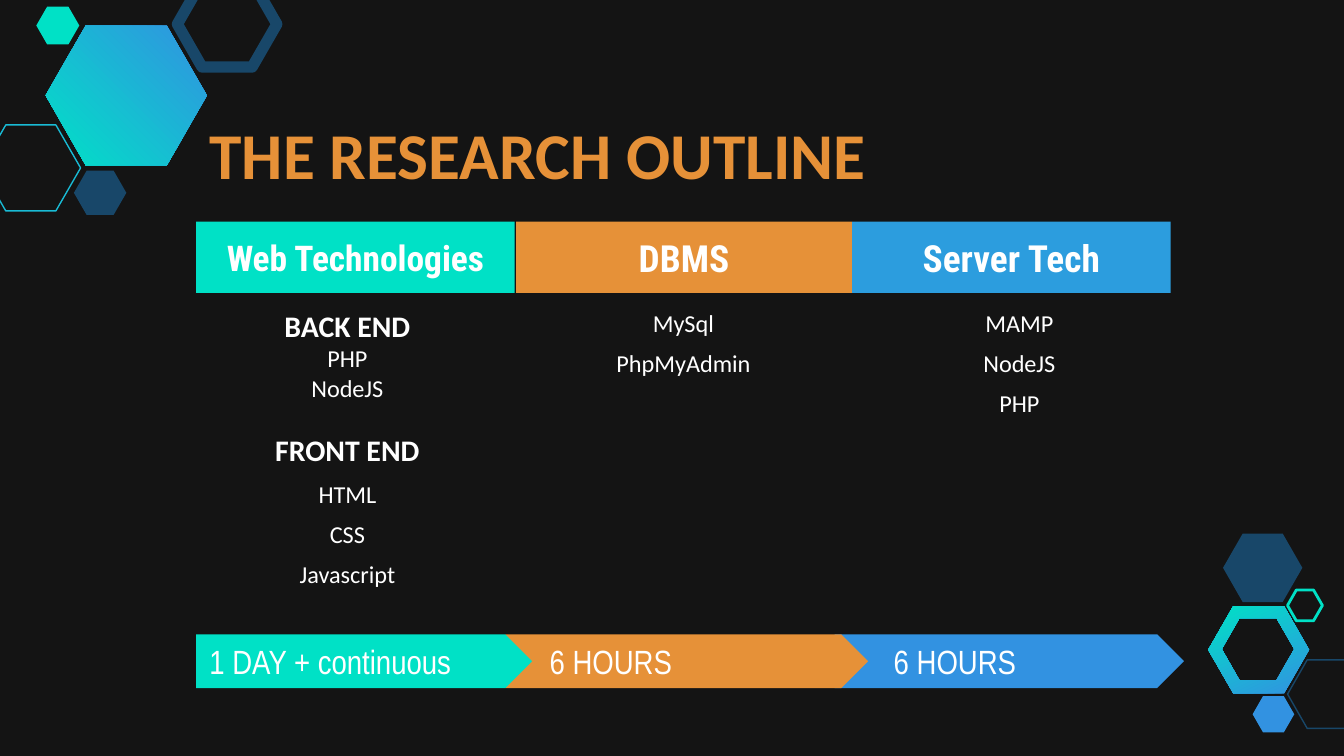
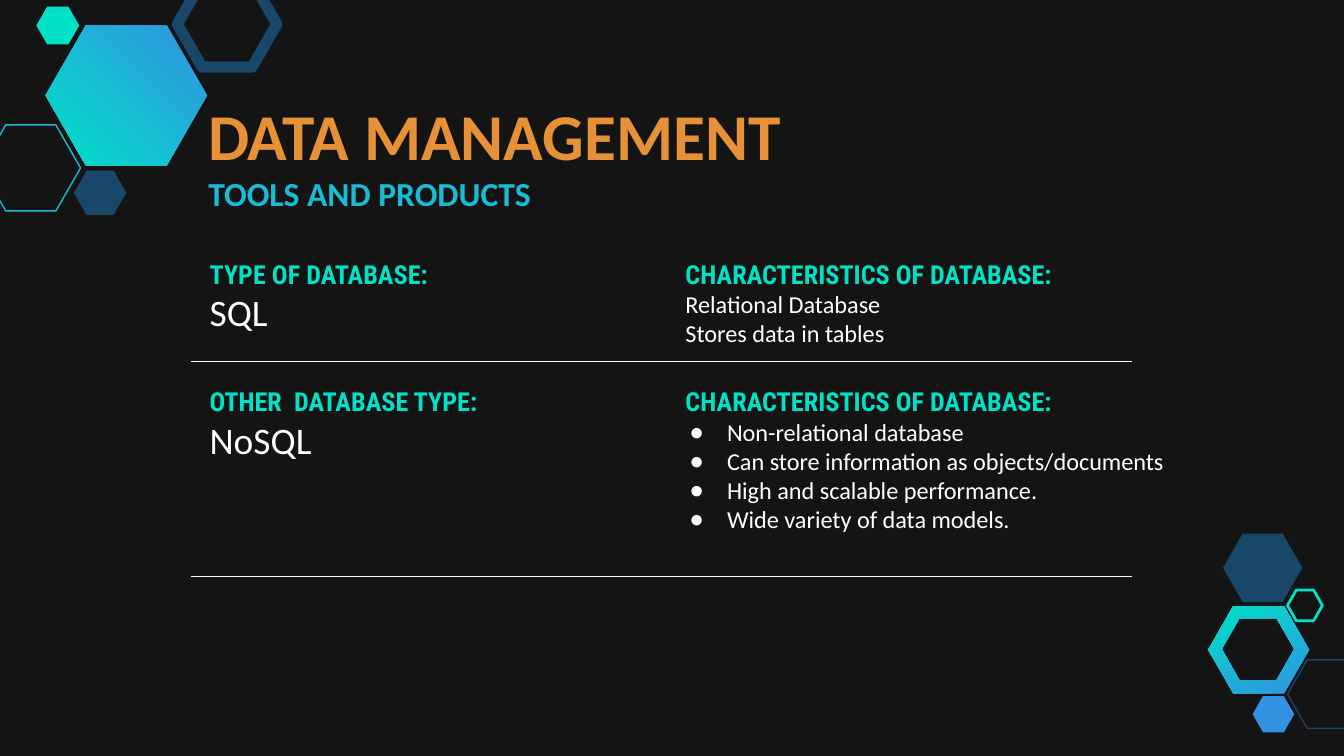
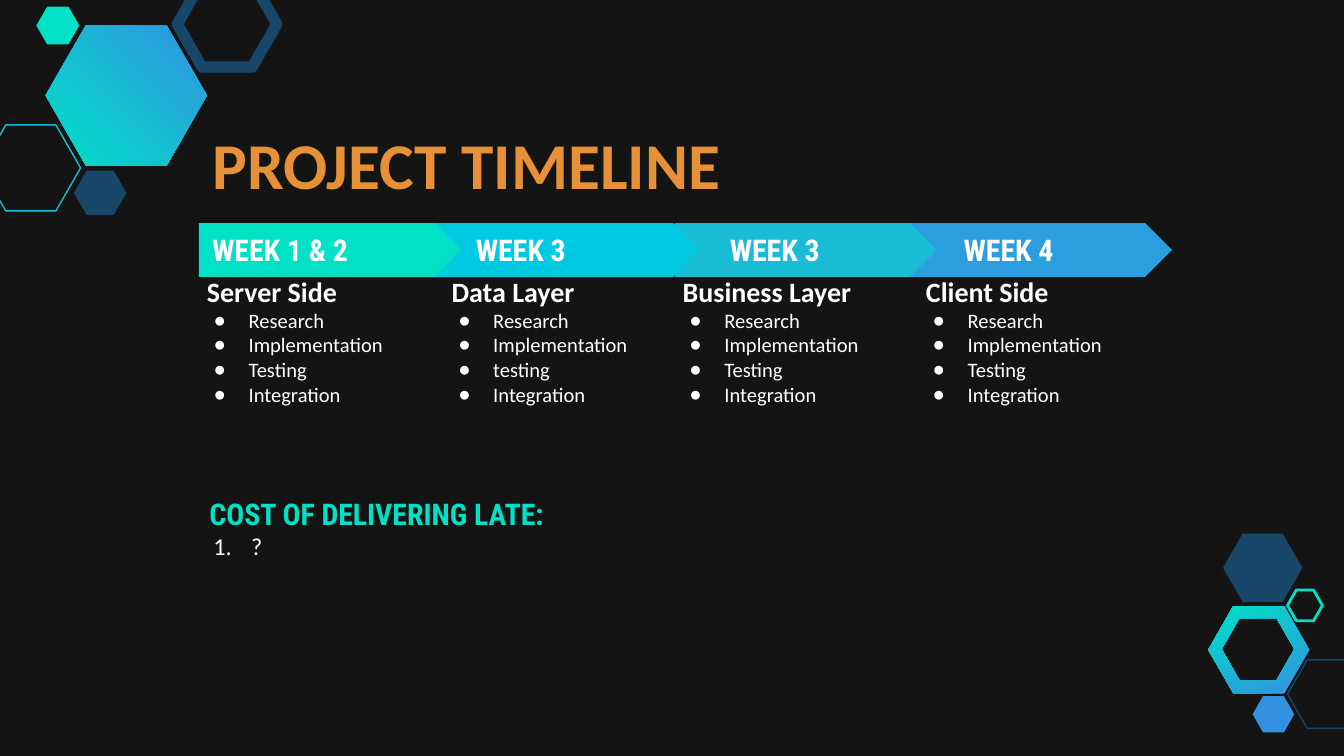
from lxml import etree
from pptx import Presentation
from pptx.dml.color import RGBColor
from pptx.enum.shapes import MSO_CONNECTOR as Connector, MSO_SHAPE as Preset
from pptx.enum.text import MSO_ANCHOR as Anchor, MSO_AUTO_SIZE as AutoSize, PP_ALIGN as Align
from pptx.oxml.ns import qn
from pptx.util import Inches, Pt

CELL = Inches(0.1)  # one column or row of the grid
COLUMNS, ROWS = 100, 56.25

NIGHT = RGBColor(0x14, 0x14, 0x14)
WHITE = RGBColor(0xFF, 0xFF, 0xFF)
ORANGE = RGBColor(0xE6, 0x91, 0x38)
MINT = RGBColor(0x00, 0xE1, 0xC6)
AQUA = RGBColor(0x00, 0xCA, 0xE1)
TEAL = RGBColor(0x19, 0xBB, 0xD5)
SKY = RGBColor(0x2C, 0x9D, 0xDE)
BLUE = RGBColor(0x32, 0x92, 0xE1)
NAVY = RGBColor(0x18, 0x47, 0x69)

SANS, CONDENSED, NARROW = "Calibri", "Roboto Condensed", "Arial Narrow"


def style(size, name=SANS, color=WHITE, bold=False, **paragraph):
    """Pair the font values of a text style with its paragraph values."""
    return {"size": Pt(size), "name": name, "bold": bold}, color, paragraph


STYLES = {
    "title": style(35, color=ORANGE, bold=True),
    "subtitle": style(18, color=TEAL, bold=True),
    "header": style(20, CONDENSED, bold=True, align=Align.CENTER, before=6),
    "long header": style(19, CONDENSED, bold=True, align=Align.CENTER, before=6),
    "group": style(16, bold=True, align=Align.CENTER),
    "next group": style(16, bold=True, align=Align.CENTER, before=16),
    "tight item": style(13, align=Align.CENTER),
    "item": style(13, align=Align.CENTER, before=6),
    "duration": style(18, NARROW),
    "week": style(16, CONDENSED, bold=True),
    "label": style(14, CONDENSED, MINT, True),
    "cost label": style(16, CONDENSED, MINT, True),
    "answer": style(20),
    "plain": style(13),
    "bullet": style(13, bullet="●", hang=0.28),
    "number": style(13, bullet="1.", hang=0.28),
    "layer": style(15, bold=True),
    "task": style(11, bullet="●", hang=0.26),
}


def grid(*lengths):
    return [round(length * CELL) for length in lengths]


def hexagon_points(left, top, width, height):
    right, bottom, middle = left + width, top + height, top + height / 2
    inset = 0.287 * height
    points = [(left, middle), (left + inset, top), (right - inset, top),
              (right, middle), (right - inset, bottom), (left + inset, bottom)]
    return [grid(*point) for point in points]


class Board:
    def __init__(self):
        self.deck = Presentation()
        self.deck.slide_width, self.deck.slide_height = grid(COLUMNS, ROWS)
        self.layout = self.deck.slide_layouts.get_by_name("Comparison")
        fill = self.deck.slide_master.background.fill
        fill.solid()
        fill.fore_color.rgb = NIGHT
        self.page, self.free = None, []

    def new_page(self, place, *lines):
        self.drop_unused()
        self.page = self.deck.slides.add_slide(self.layout)
        if len(self.deck.slides) == 1:
            self.decorate()
        title = self.page.shapes.title
        self.free = [holder for holder in self.page.placeholders
                     if holder.placeholder_format.idx > 0]
        self.place(title, place)
        self.set_lines(title, lines, anchor=Anchor.BOTTOM)

    def drop_unused(self):
        for holder in self.free:
            holder.element.getparent().remove(holder.element)

    def place(self, box, place):
        for name, value in zip(("left", "top", "width", "height"), grid(*place)):
            setattr(box, name, value)

    def set_lines(self, box, lines, anchor=Anchor.TOP, indent=1):
        """Fill a box with (style name, text) lines; indent is the left inset."""
        frame = box.text_frame
        settings = {"word_wrap": True, "auto_size": AutoSize.NONE,
                    "vertical_anchor": anchor, "margin_left": round(indent * CELL),
                    "margin_right": CELL, "margin_top": CELL, "margin_bottom": CELL}
        for name, value in settings.items():
            setattr(frame, name, value)
        for number, (kind, text) in enumerate(lines):
            para = frame.add_paragraph() if number else frame.paragraphs[0]
            font, color, layout = STYLES[kind]
            span = para.add_run()
            span.text = text
            for name, value in font.items():
                setattr(span.font, name, value)
            span.font.color.rgb = color
            self.set_paragraph(para, **layout)

    def set_paragraph(self, para, align=Align.LEFT, before=0, bullet=None, hang=0):
        para.alignment = align
        para.space_before = Pt(before)
        props = para._p.get_or_add_pPr()
        props.set("marL", str(Inches(0.31) if bullet else 0))
        props.set("indent", str(-Inches(hang)))
        if not bullet:
            etree.SubElement(props, qn("a:buNone"))
            return
        tint = etree.SubElement(props, qn("a:buClr"))
        etree.SubElement(tint, qn("a:srgbClr"), val=str(WHITE))
        if bullet == "1.":
            etree.SubElement(props, qn("a:buAutoNum"), type="arabicPeriod")
        else:
            etree.SubElement(props, qn("a:buChar"), char=bullet)

    def text(self, place, *lines, indent=1):
        """Use the next body placeholder, or a text box when none is left."""
        box = self.free.pop(0) if self.free else self.page.shapes.add_textbox(0, 0, 0, 0)
        self.place(box, place)
        self.set_lines(box, lines, indent=indent)

    def shape(self, preset, place, fill=None, line=None, weight=0.75):
        shape = self.page.shapes.add_shape(preset, *grid(*place))
        shape.shadow.inherit = False
        for paint, color in ((shape.fill, fill), (shape.line.fill, line)):
            if color is None:
                paint.background()
            else:
                paint.solid()
                paint.fore_color.rgb = color
        if line is not None:
            shape.line.width = Pt(weight)
        return shape

    def header(self, place, fill, kind, text):
        self.set_lines(self.shape(Preset.RECTANGLE, place, fill), [(kind, text)], Anchor.MIDDLE)

    def arrows(self, top, kind, steps):
        """Draw (left, width, colour, indent, text) steps, each over the next one."""
        for left, width, fill, indent, text in reversed(steps):
            arrow = self.shape(Preset.PENTAGON, (left, top, width, 4), fill)
            self.set_lines(arrow, [(kind, text)], Anchor.MIDDLE, indent)

    def rule(self, left, right, row):
        line = self.page.shapes.add_connector(Connector.STRAIGHT, *grid(left, row, right, row))
        line.line.color.rgb = WHITE
        line.line.width = Pt(0.75)
        etree.SubElement(line.element.spPr, qn("a:effectLst"))

    def hexagon(self, place, **paint):
        shape = self.shape(Preset.HEXAGON, place, **paint)
        shape.adjustments[0] = 0.287
        return shape

    def gradient_hexagon(self, angle, place, hole=None):
        points = hexagon_points(*place)
        builder = self.page.shapes.build_freeform(*points[0])
        builder.add_line_segments(points[1:], close=True)
        if hole:
            inner = hexagon_points(*hole)[::-1]
            builder.move_to(*inner[0])
            builder.add_line_segments(inner[1:], close=True)
        shape = builder.convert_to_shape()
        shape.shadow.inherit = False
        shape.line.fill.background()
        shape.fill.gradient()
        shape.fill.gradient_angle = angle
        for stop, color in zip(shape.fill.gradient_stops, (BLUE, MINT)):
            stop.color.rgb = color
        return shape

    def decorate(self):
        """Draw the hexagon clusters once and hand them to the layout."""
        cluster = [
            self.gradient_hexagon(116, (89.9, 45.1, 7.5, 6.5), hole=(90.9, 46, 5.4, 4.6)),
            self.gradient_hexagon(225, (3.4, 1.9, 12, 10.4)),
            self.hexagon((-1.4, 9.3, 7.4, 6.4), line=TEAL),
            self.hexagon((5.5, 12.7, 3.9, 3.3), fill=NAVY),
            self.hexagon((13.2, -1.4, 7.4, 6.4), line=NAVY, weight=6),
            self.hexagon((2.7, 0.5, 3.2, 2.8), fill=MINT),
            self.hexagon((95.8, 49.1, 5.9, 5.1), line=NAVY),
            self.hexagon((93.2, 51.8, 3.1, 2.7), fill=BLUE),
            self.hexagon((91, 39.7, 5.9, 5.1), fill=NAVY),
            self.hexagon((95.8, 43.9, 2.6, 2.3), line=MINT, weight=1.5),
        ]
        for number, shape in enumerate(cluster, start=101):
            shape.element.xpath(".//p:cNvPr")[0].set("id", str(number))
            self.layout.shapes.element.append(shape.element)


def research_outline(board):
    board.new_page((14.6, 6.7, 73.6, 8.6), ("title", "THE RESEARCH OUTLINE"))
    subjects = [
        (14.6, 23.7, MINT, "long header", "Web Technologies",
         [("group", "BACK END"), ("tight item", "PHP"), ("tight item", "NodeJS"),
          ("next group", "FRONT END"), ("item", "HTML"), ("item", "CSS"),
          ("item", "Javascript")]),
        (38.4, 25, ORANGE, "header", "DBMS", [("item", "MySql"), ("item", "PhpMyAdmin")]),
        (63.4, 23.7, SKY, "header", "Server Tech",
         [("item", "MAMP"), ("item", "NodeJS"), ("item", "PHP")]),
    ]
    for number, (left, width, fill, kind, name, tools) in enumerate(subjects):
        board.header((left, 16.5, width, 5.3), fill, kind, name)
        board.text((14.6 + 25 * number, 21.9, 22.5, 23.8), *tools)
    board.arrows(47.2, "duration", [
        (14.6, 25, MINT, 1, "1 DAY + continuous"),
        (37.6, 27, ORANGE, 3.3, "6 HOURS"),
        (62.1, 26, BLUE, 4.4, "6 HOURS"),
    ])


def data_management(board):
    board.new_page((14.5, 9.8, 81.3, 7.1),
                   ("title", "DATA MANAGEMENT"), ("subtitle", "TOOLS AND PRODUCTS"))
    traits = ("label", "CHARACTERISTICS OF DATABASE:")
    databases = [
        (18.2, 7.2, 26.9, "TYPE OF DATABASE:", "SQL", "plain",
         ["Relational Database", "Stores data in tables"]),
        (27.7, 12.8, 42.9, "OTHER  DATABASE TYPE:", "NoSQL", "bullet",
         ["Non-relational database", "Can store information as objects/documents",
          "High and scalable performance.", "Wide variety of data models."]),
    ]
    for top, height, rule, label, name, kind, facts in databases:
        board.text((14.6, top, 35.4, height), ("label", label), ("answer", name))
        board.text((50, top, 39.3, height), traits, *[(kind, fact) for fact in facts])
        board.rule(14.2, 84.2, rule)


def project_timeline(board):
    board.new_page((14.8, 9, 66.4, 7.1), ("title", "PROJECT TIMELINE"))
    board.arrows(16.6, "week", [
        (14.8, 19.5, MINT, 1, "WEEK 1 & 2"),
        (31.9, 20.2, AQUA, 3.5, "WEEK 3"),
        (50.2, 19.5, TEAL, 4.1, "WEEK 3"),
        (67.7, 19.5, SKY, 4, "WEEK 4"),
    ])
    layers = [(14.8, "Server Side", "Testing"), (33, "Data Layer", "testing"),
              (50.2, "Business Layer", "Testing"), (68.3, "Client Side", "Testing")]
    for left, layer, testing in layers:
        tasks = ["Research", "Implementation", testing, "Integration"]
        board.text((left, 19.4, 17, 19.4), ("layer", layer),
                   *[("task", task) for task in tasks], indent=0.6)
    board.text((14.6, 35.9, 72.6, 14.6),
               ("cost label", "COST OF DELIVERING LATE:"), ("number", "?"))


def main():
    board = Board()
    research_outline(board)
    data_management(board)
    project_timeline(board)
    board.drop_unused()
    board.deck.save("out.pptx")


if __name__ == "__main__":
    main()
